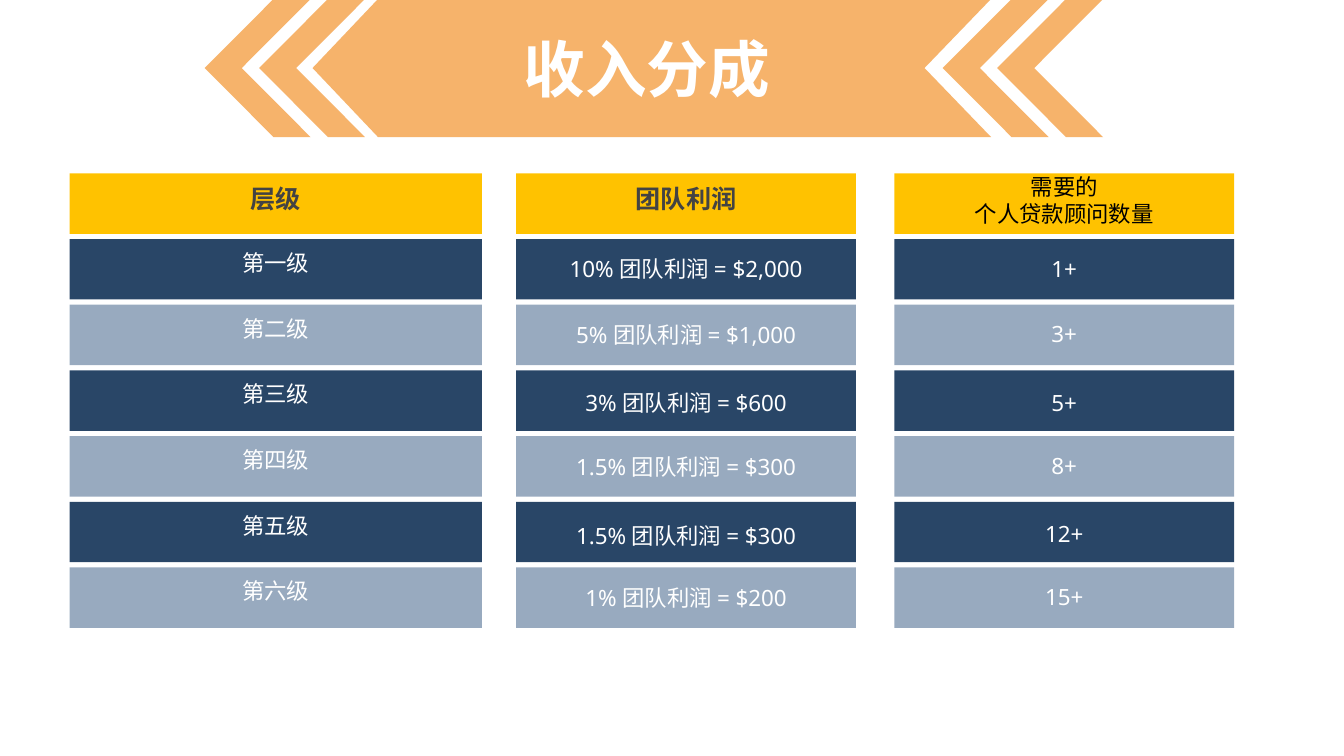
import pptx
import pptx.util
import pptx.dml.color
import pptx.enum.shapes
import pptx.enum.text
import pptx.oxml.ns
import lxml.etree

RGBColor = pptx.dml.color.RGBColor
Inches = pptx.util.Inches
ANCHOR = pptx.enum.text.MSO_ANCHOR
SHAPE = pptx.enum.shapes.MSO_SHAPE

GOLD = RGBColor(0xFF, 0xC2, 0x00)
NAVY = RGBColor(0x29, 0x46, 0x67)
STEEL = RGBColor(0x32, 0x56, 0x80)
ORANGE = RGBColor(0xF3, 0x93, 0x2D)
CHARCOAL = RGBColor(0x43, 0x43, 0x43)
BLACK = RGBColor(0x00, 0x00, 0x00)
WHITE = RGBColor(0xFF, 0xFF, 0xFF)

# Grid in inches: column (left, width), row top and height
COLUMNS = [(0.69, 4.09), (5.12, 3.37), (8.87, 3.37)]
FIRST_ROW, LAST_ROW, ROW_HEIGHT = 1.72, 5.63, 0.6
LABEL_HEIGHT = 0.67
BANNER_TOP, BANNER_HEIGHT = -0.01, 1.37

# Level, profit, advisers needed, then the small upward shift of the last two
LEVELS = [
    ("第一级", "10% 团队利润 = $2,000", "1+", 0.04, 0.04),
    ("第二级", "5% 团队利润 = $1,000", "3+", 0.04, 0.05),
    ("第三级", "3% 团队利润 = $600", "5+", 0.02, 0.02),
    ("第四级", "1.5% 团队利润 = $300", "8+", 0.03, 0.04),
    ("第五级", "1.5% 团队利润 = $300", "12+", 0, 0.02),
    ("第六级", "1% 团队利润 = $200", "15+", 0.04, 0.05),
]


class Slide:
    font = "Noto Sans"

    def __init__(self, deck):
        self.page = deck.slides.add_slide(deck.slide_layouts[6])

    def row_top(self, row):
        return FIRST_ROW + row * (LAST_ROW - FIRST_ROW) / len(LEVELS)

    def paint(self, shape, color, opacity=100):
        shape.shadow.inherit = False
        shape.line.fill.background()
        shape.fill.solid()
        shape.fill.fore_color.rgb = color
        if opacity < 100:
            tint = shape.fill._xPr.find(".//" + pptx.oxml.ns.qn("a:srgbClr"))
            alpha = lxml.etree.SubElement(tint, pptx.oxml.ns.qn("a:alpha"))
            alpha.set("val", str(opacity * 1000))

    def band(self, row, color, opacity=100):
        for left, width in COLUMNS:
            bar = self.page.shapes.add_shape(
                SHAPE.RECTANGLE, Inches(left), Inches(self.row_top(row)),
                Inches(width), Inches(ROW_HEIGHT))
            self.paint(bar, color, opacity)

    def chevron(self, left):
        arrow = self.page.shapes.add_shape(
            SHAPE.CHEVRON, Inches(left), Inches(BANNER_TOP),
            Inches(1.05), Inches(BANNER_HEIGHT))
        arrow.adjustments[0] = 0.65
        arrow.rotation = 180
        self.paint(arrow, ORANGE, 70)

    def outline(self, points):
        start, *others = [(Inches(x), Inches(y)) for x, y in points]
        builder = self.page.shapes.build_freeform(*start)
        builder.add_line_segments(others, close=True)
        self.paint(builder.convert_to_shape(), ORANGE, 70)

    def text(self, left, top, width, height, lines, size=16, color=WHITE,
             bold=False, font=font, anchor=ANCHOR.TOP, inset=0.1):
        box = self.page.shapes.add_textbox(
            Inches(left), Inches(top), Inches(width), Inches(height))
        frame = box.text_frame
        frame.word_wrap = True
        frame.vertical_anchor = anchor
        frame.margin_top = frame.margin_bottom = Inches(inset)
        for index, line in enumerate(lines):
            para = frame.add_paragraph() if index else frame.paragraphs[0]
            para.alignment = pptx.enum.text.PP_ALIGN.CENTER
            span = para.add_run()
            span.text = line
            span.font.name = font
            span.font.size = pptx.util.Pt(size)
            span.font.bold = bold
            span.font.color.rgb = color

    def cell(self, column, row, lines, rise=0, height=ROW_HEIGHT, **style):
        left, width = COLUMNS[column]
        self.text(left, self.row_top(row) - rise, width, height, lines, **style)


def main():
    deck = pptx.Presentation()
    deck.slide_width, deck.slide_height = Inches(13.33), Inches(7.5)
    slide = Slide(deck)

    # Header row
    slide.band(0, GOLD)
    for column, heading in enumerate(["层级", "团队利润"]):
        slide.cell(column, 0, [heading], size=18, color=CHARCOAL, bold=True)
    slide.cell(2, 0, ["需要的", "个人贷款顾问数量"], rise=0.1,
               height=LABEL_HEIGHT, color=BLACK, font="Arial")

    # Level rows, alternating dark and pale
    for row, (level, profit, advisers, profit_rise, advisers_rise) in enumerate(LEVELS, 1):
        if row % 2:
            slide.band(row, NAVY)
        else:
            slide.band(row, STEEL, 50)
        slide.cell(0, row, [level])
        slide.cell(1, row, [profit], profit_rise, LABEL_HEIGHT, anchor=ANCHOR.MIDDLE)
        slide.cell(2, row, [advisers], advisers_rise, LABEL_HEIGHT, anchor=ANCHOR.MIDDLE)

    # Title banner with chevrons on both sides
    bottom = BANNER_TOP + BANNER_HEIGHT
    middle = BANNER_TOP + BANNER_HEIGHT / 2
    slide.outline([(9.83, bottom), (3.75, bottom), (3.1, middle),
                   (3.75, BANNER_TOP), (9.83, BANNER_TOP), (9.17, middle)])
    for left in (2.57, 2.03, 9.89, 9.35):
        slide.chevron(left)
    slide.text(3.62, 0.25, 5.59, 0.84, ["收入分成"], size=44, bold=True,
               anchor=ANCHOR.MIDDLE, inset=0.05)

    deck.save("out.pptx")


if __name__ == "__main__":
    main()
